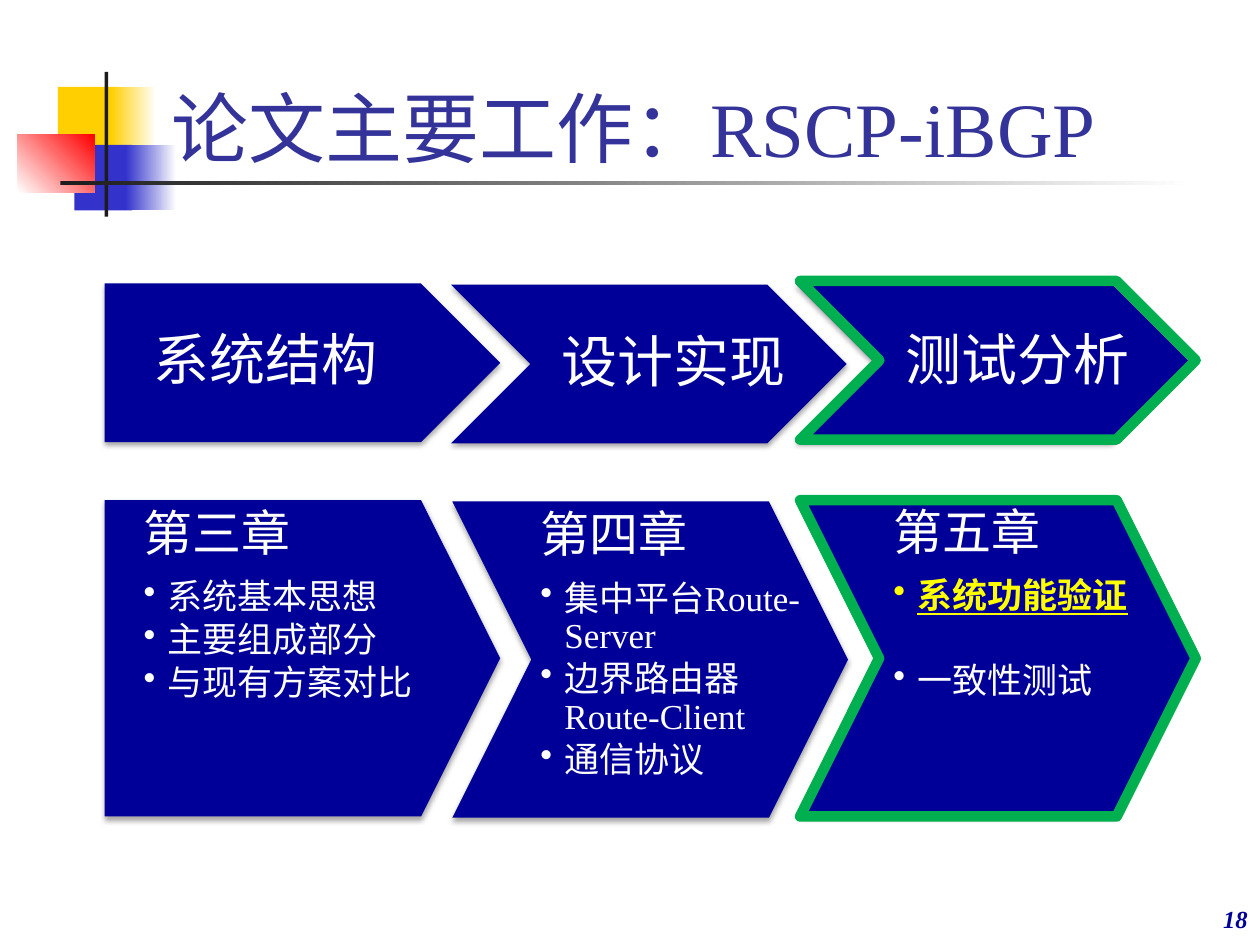
import pptx
import pptx.util
from lxml import etree
from pptx.dml.color import RGBColor
from pptx.enum.shapes import MSO_SHAPE
from pptx.enum.text import MSO_ANCHOR, PP_ALIGN
from pptx.oxml.ns import qn

NAVY, WHITE, YELLOW, GREEN = "000099", "FFFFFF", "FFFF00", "00B050"
SANS, SERIF = "Karla", "Times New Roman"
PENTAGON, CHEVRON = MSO_SHAPE.PENTAGON, MSO_SHAPE.CHEVRON
ARROW_W, STEP_H, CHAPTER_H = 3.14, 1.26, 2.51

# Arrow kind, arrow left and top, text left and width, left inset, label
STEPS = [
    (PENTAGON, 0.83, 2.25, 0.83, 2.43, 0.16, "系统结构"),
    (CHEVRON, 3.58, 2.26, 4.21, 2.2, 0.12, "设计实现"),
    (CHEVRON, 6.31, 2.25, 6.94, 2.2, 0.12, "测试分析"),
]

# Arrow kind, arrow left and top, text left and width, right inset,
# heading and its font, bullets as lists of (text, font)
CHAPTERS = [
    (PENTAGON, 0.83, 3.97, 1.03, 3.02, 0.44, "第三章", SANS,
     [[("系统基本思想", SANS)], [("主要组成部分", SANS)], [("与现有方案对比", SANS)]]),
    (CHEVRON, 3.59, 3.98, 4.18, 2.44, 0.11, "第四章", SANS,
     [[("集中平台", SANS), ("Route-Server", SERIF)],
      [("边界路由器", SANS), ("Route-Client", SERIF)],
      [("通信协议", SANS)]]),
    (CHEVRON, 6.35, 3.96, 6.98, 2.34, 0.11, "第五章", SERIF,
     [[("系统功能验证", SANS)], [("一致性测试", SANS)]]),
]


def rgb(value):
    return RGBColor.from_string(value)


def box(*lengths):
    return [pptx.util.Inches(v) for v in lengths]


def add_block(shapes, at, color, end=None, angle=0):
    """Rectangle in one colour, or fading from color to end."""
    sp = shapes.add_shape(MSO_SHAPE.RECTANGLE, *box(*at))
    sp.shadow.inherit = False
    sp.line.fill.background()
    if end is None:
        sp.fill.solid()
        sp.fill.fore_color.rgb = rgb(color)
    else:
        sp.fill.gradient()
        sp.fill.gradient_angle = angle
        for stop, value in zip(sp.fill.gradient_stops, (color, end)):
            stop.color.rgb = rgb(value)


def add_arrow(shapes, kind, left, top, height):
    sp = shapes.add_shape(kind, *box(left, top, ARROW_W, height))
    sp.adjustments[0] = 0.5 if height == STEP_H else 0.25
    sp.shadow.inherit = False
    return sp


def add_filled_arrow(shapes, *args):
    sp = add_arrow(shapes, *args)
    sp.fill.solid()
    sp.fill.fore_color.rgb = rgb(NAVY)
    sp.line.fill.background()
    # Soft shadow below the arrow
    effects = sp._element.spPr.find(qn("a:effectLst"))
    shadow = etree.SubElement(
        effects, qn("a:outerShdw"), blurRad=str(pptx.util.Pt(3.1)),
        dist=str(pptx.util.Pt(1.8)), dir="5400000", rotWithShape="0")
    color = etree.SubElement(shadow, qn("a:srgbClr"), val="000000")
    etree.SubElement(color, qn("a:alpha"), val="35000")


def add_outline(shapes, *args):
    sp = add_arrow(shapes, *args)
    sp.fill.background()
    sp.line.color.rgb = rgb(GREEN)
    sp.line.width = pptx.util.Pt(6)
    etree.SubElement(sp._element.spPr.find(qn("a:ln")), qn("a:round"))


def add_frame(shapes, at, anchor, insets=(0.1, 0.05, 0.1, 0.05)):
    tf = shapes.add_textbox(*box(*at)).text_frame
    tf.word_wrap = True
    tf.vertical_anchor = anchor
    (tf.margin_left, tf.margin_top,
     tf.margin_right, tf.margin_bottom) = box(*insets)
    return tf


def style(r, size, font, color, **flags):
    r.font.size = pptx.util.Pt(size)
    r.font.name = font
    r.font.color.rgb = rgb(color)
    for name, value in flags.items():
        setattr(r.font, name, value)


def space(p, after):
    p.line_spacing = 0.9
    p.space_after = pptx.util.Pt(after)


def add_bullet(tf, parts):
    p = tf.add_paragraph()
    space(p, 3)
    pPr = p._p.get_or_add_pPr()
    indent = pptx.util.Inches(0.19)
    pPr.set("marL", str(indent))
    pPr.set("indent", str(-indent))
    etree.SubElement(pPr, qn("a:buChar"), char="•")
    for text, font in parts:
        r = p.add_run()
        r.text = text
        style(r, 20, font, WHITE)
    return p


def add_step(s, kind, left, top, text_left, text_w, inset, label):
    shapes = s.shapes.add_group_shape().shapes
    add_filled_arrow(shapes, kind, left, top, STEP_H)
    tf = add_frame(shapes, (text_left, top, text_w, STEP_H),
                   MSO_ANCHOR.MIDDLE, (inset, 0.08, 0.04, 0.08))
    tf.text = label
    p = tf.paragraphs[0]
    p.alignment = PP_ALIGN.CENTER
    space(p, 11)
    style(p.runs[0], 32, SANS, WHITE)


def add_chapter(s, kind, left, top, text_left, text_w, inset, heading, font, bullets):
    shapes = s.shapes.add_group_shape().shapes
    add_filled_arrow(shapes, kind, left, top, CHAPTER_H)
    tf = add_frame(shapes, (text_left, top, text_w, CHAPTER_H),
                   MSO_ANCHOR.TOP, (0.11, 0.07, inset, 0.07))
    tf.text = heading
    space(tf.paragraphs[0], 10)
    style(tf.paragraphs[0].runs[0], 28, font, WHITE)
    return [add_bullet(tf, parts) for parts in bullets]


def add_decoration(s):
    for at, *colors in [
        ((0.46, 0.69, 0.48, 0.52), "FFCF01"),
        ((0.88, 0.69, 0.36, 0.52), "FFCF01", WHITE),
        ((0.59, 1.15, 0.46, 0.52), "3333CC"),
        ((1, 1.15, 0.4, 0.52), "3333CC", WHITE),
        ((0.14, 1.07, 0.61, 0.46), WHITE, "FF0000", 45),
        ((0.83, 0.57, 0.03, 1.15), "1C1C1C"),
        ((0.48, 1.44, 9, 0.03), "1C1C1C", WHITE),
    ]:
        add_block(s.shapes, at, *colors)


def main():
    prs = pptx.Presentation()
    prs.slide_width, prs.slide_height = box(10, 7.5)
    s = prs.slides.add_slide(prs.slide_layouts[6])

    # Corner blocks, title and page number
    add_decoration(s)
    tf = add_frame(s.shapes, (1.26, 0.17, 8.91, 1.25), MSO_ANCHOR.BOTTOM)
    tf.text = "论文主要工作：RSCP-iBGP"
    style(tf.paragraphs[0].runs[0], 44, SERIF, "333399")
    tf = add_frame(s.shapes, (7.92, 6.96, 2.08, 0.5), MSO_ANCHOR.BOTTOM)
    tf.text = "18"
    tf.paragraphs[0].alignment = PP_ALIGN.RIGHT
    style(tf.paragraphs[0].runs[0], 14, SERIF, NAVY, bold=True, italic=True)

    # Steps above, chapters below
    for step in STEPS:
        add_step(s, *step)
    for chapter in CHAPTERS:
        bullets = add_chapter(s, *chapter)

    # Current topic in the last chapter, set apart from the next one
    current, following = bullets
    style(current.runs[0], 20, SANS, YELLOW, bold=True, underline=True)
    following.space_before = pptx.util.Pt(24)

    # Green frames around the current column
    add_outline(s.shapes, CHEVRON, 6.35, 2.23, STEP_H)
    add_outline(s.shapes, CHEVRON, 6.35, 3.97, CHAPTER_H)
    prs.save("out.pptx")


if __name__ == "__main__":
    main()
